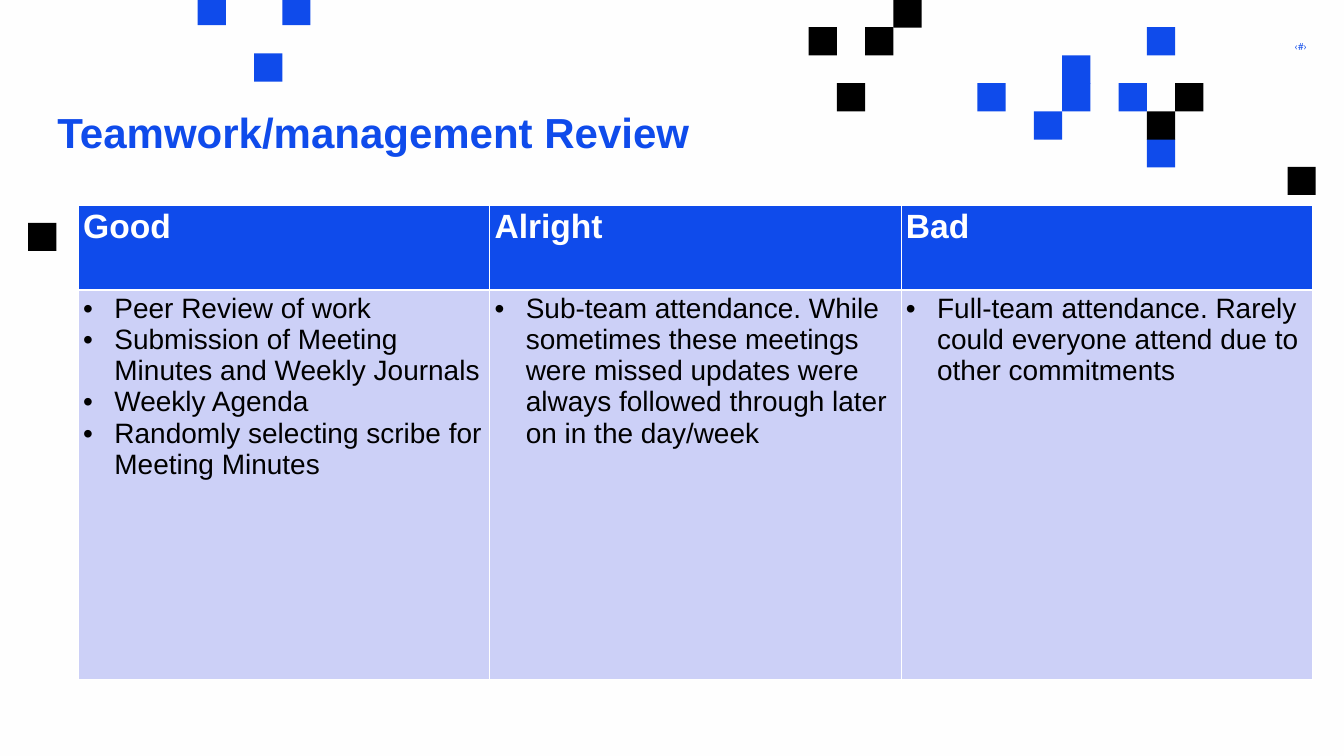
from lxml.etree import SubElement
from pptx import Presentation
from pptx.dml.color import RGBColor
from pptx.enum.shapes import MSO_SHAPE as SHAPE
from pptx.enum.text import MSO_ANCHOR as ANCHOR, MSO_AUTO_SIZE as AUTO, PP_ALIGN as ALIGN
from pptx.oxml.ns import qn
from pptx.util import Emu, Pt

PX = 9144  # EMU per px, 100 px to the inch
COLORS = {"blue": "0F4BEB", "black": "000000", "paper": "FEFEFE",
          "white": "FFFFFF", "lilac": "CCD0F7"}


def add_span(para, text, size, color, font="Arial", bold=False):
    span = para.add_run()
    span.text = text
    span.font.size = Pt(size)
    span.font.name = font
    span.font.bold = bold
    span.font.color.rgb = RGBColor.from_string(COLORS[color])


def add_colored(parent, tag, color, **attributes):
    """Append a DrawingML element that holds a solid colour, and return it."""
    node = SubElement(parent, qn(tag), **attributes)
    holder = node if tag == "a:buClr" else SubElement(node, qn("a:solidFill"))
    SubElement(holder, qn("a:srgbClr"), val=COLORS[color])
    return node


deck = Presentation()
deck.slide_width, deck.slide_height = Emu(2666 * PX), Emu(1500 * PX)
page = deck.slides.add_slide(deck.slide_layouts[5])
page.background.fill.solid()
page.background.fill.fore_color.rgb = RGBColor.from_string(COLORS["paper"])

# Scattered squares: each cluster has an origin, a pitch and (column, row) places
SQUARE = 56
clusters = [
    ((0, -6), (56, 56), {"blue": [(7, 0), (10, 0), (9, 2)], "black": [(1, 8)]}),
    ((1604, -1), (55.9, 55.4), {
        "blue": [(12, 1), (9, 2), (9, 3), (11, 3), (6, 3), (8, 4), (12, 5)],
        "black": [(3, 0), (2, 1), (0, 1), (13, 3), (1, 3), (12, 4), (17, 6)]}),
]
for (left, top), (pitch_x, pitch_y), places in clusters:
    for color, cells in places.items():
        for column, row in cells:
            x = round(left + column * pitch_x)
            y = round(top + row * pitch_y)
            visible_top = max(y, 0)
            square = page.shapes.add_shape(
                SHAPE.RECTANGLE, x * PX, visible_top * PX,
                SQUARE * PX, (y + SQUARE - visible_top) * PX)
            square.shadow.inherit = False
            square.fill.solid()
            square.fill.fore_color.rgb = RGBColor.from_string(COLORS[color])
            square.line.fill.background()

# Page number
number_box = page.shapes.add_textbox(2336 * PX, 81 * PX, 256 * PX, 24 * PX)
frame = number_box.text_frame
frame.word_wrap = True
frame.margin_left = frame.margin_right = frame.margin_top = frame.margin_bottom = 0
frame.paragraphs[0].alignment = ALIGN.RIGHT
add_span(frame.paragraphs[0], "‹#›", 14, "blue", font="Roboto")

# Title
title = page.shapes.title
title.left, title.top = Emu(104 * PX), Emu(192 * PX)
title.width, title.height = Emu(1709 * PX), Emu(267 * PX)
frame = title.text_frame
frame.margin_left = frame.margin_right = frame.margin_top = frame.margin_bottom = Emu(10 * PX)
frame.vertical_anchor = ANCHOR.TOP
frame.auto_size = AUTO.NONE
frame.word_wrap = True
frame.paragraphs[0].alignment = ALIGN.LEFT
frame.paragraphs[0].line_spacing = 1.1
add_span(frame.paragraphs[0], "Teamwork/management Review", 60, "blue", bold=True)

# Review table
reviews = {
    "Good": ["Peer Review of work",
             "Submission of Meeting Minutes and Weekly Journals",
             "Weekly Agenda",
             "Randomly selecting scribe for Meeting Minutes"],
    "Alright": ["Sub-team attendance. While sometimes these meetings were missed "
                "updates were always followed through later on in the day/week"],
    "Bad": ["Full-team attendance. Rarely could everyone attend due to "
            "other commitments"],
}
INDENT = 62
table = page.shapes.add_table(2, len(reviews), 155 * PX, 407 * PX,
                              2448 * PX, 941 * PX).table
table.rows[0].height, table.rows[1].height = Emu(169 * PX), Emu(772 * PX)
for index, (heading, points) in enumerate(reviews.items()):
    table.columns[index].width = Emu(816 * PX)
    header, body = table.cell(0, index), table.cell(1, index)
    for cell, fill, bottom in ((header, "blue", 3), (body, "lilac", 1)):
        properties = cell._tc.get_or_add_tcPr()
        for side, width in (("L", 1), ("R", 1), ("T", 3 if cell is body else 1), ("B", bottom)):
            add_colored(properties, f"a:ln{side}", "white", w=str(Pt(width)))
        cell.fill.solid()
        cell.fill.fore_color.rgb = RGBColor.from_string(COLORS[fill])

    add_span(header.text_frame.paragraphs[0], heading, 48, "white", bold=True)
    for position, point in enumerate(points):
        frame = body.text_frame
        para = frame.add_paragraph() if position else frame.paragraphs[0]
        add_span(para, point, 40, "black")
        layout = para._p.get_or_add_pPr()
        layout.set("marL", str(INDENT * PX))
        layout.set("indent", str(-INDENT * PX))
        add_colored(layout, "a:buClr", "black")
        SubElement(layout, qn("a:buFont"), typeface="Arial")
        SubElement(layout, qn("a:buChar"), char="•")

deck.save("out.pptx")
